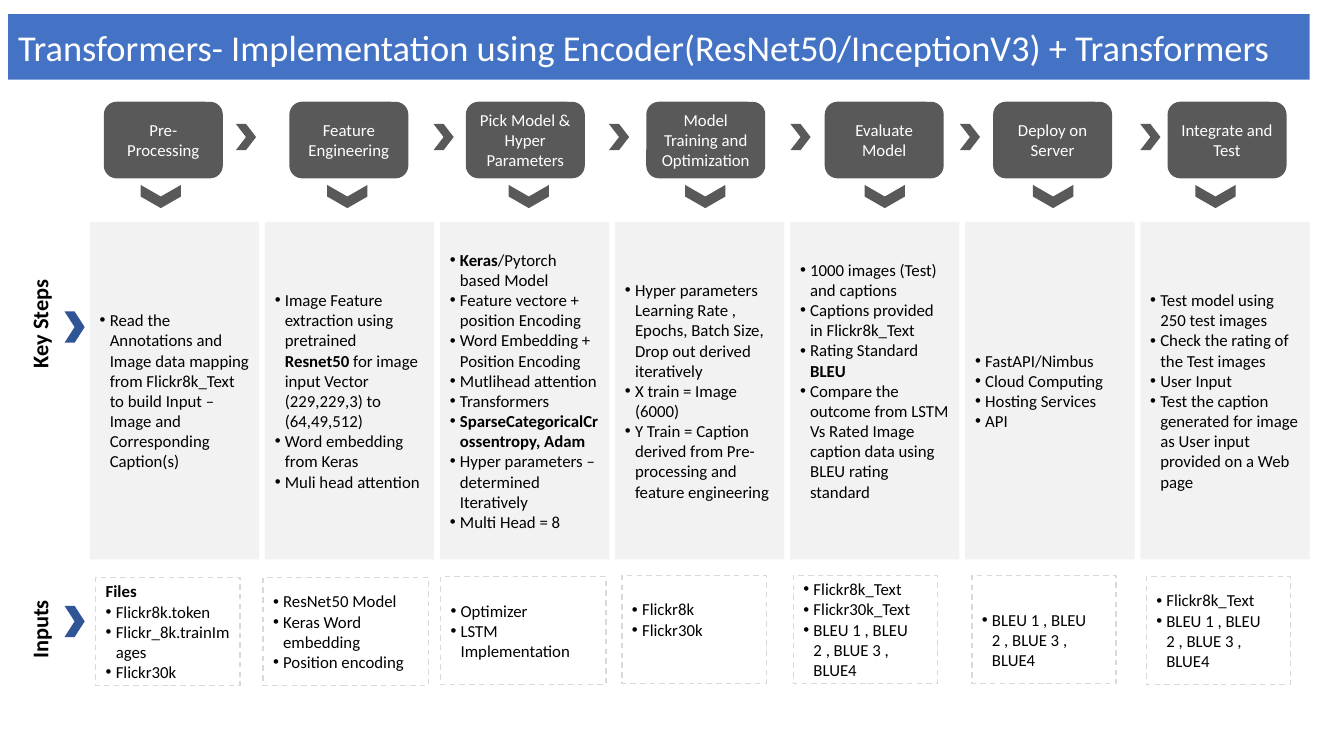
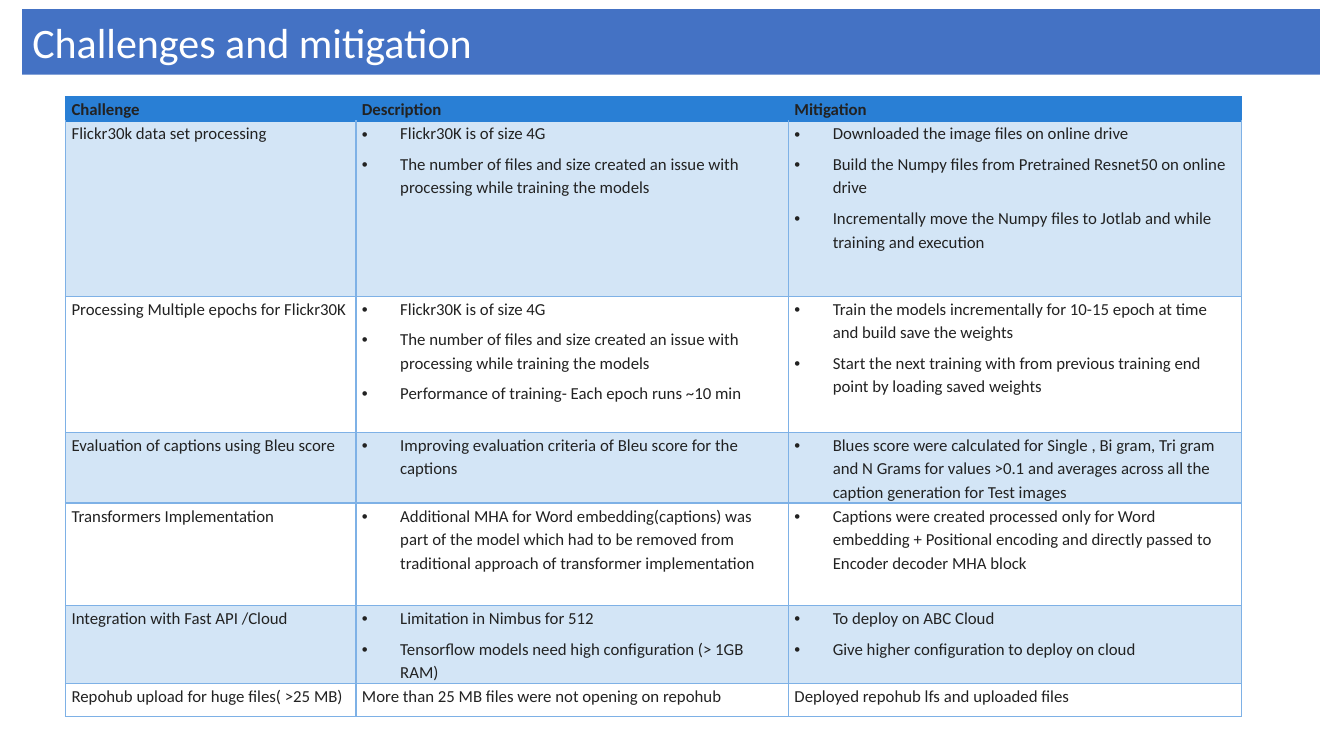
import pptx
import pptx.util
from pptx.dml.color import RGBColor
from pptx.enum.dml import MSO_LINE
from pptx.enum.shapes import MSO_SHAPE
from pptx.enum.text import MSO_ANCHOR, MSO_AUTO_SIZE, PP_ALIGN
from pptx.oxml.ns import qn
from lxml import etree

Inches, Pt = pptx.util.Inches, pptx.util.Pt

FONT = "Calibri"
BLUE = RGBColor(0x44, 0x72, 0xC4)
NAVY = RGBColor(0x2F, 0x55, 0x97)
GRAY = RGBColor(0x59, 0x59, 0x59)
PANEL = RGBColor(0xF2, 0xF2, 0xF2)
DASH = RGBColor(0xD9, 0xD9, 0xD9)
WHITE = RGBColor(0xFF, 0xFF, 0xFF)
BLACK = RGBColor(0x00, 0x00, 0x00)
INK = RGBColor(0x22, 0x22, 0x22)
HEAD = RGBColor(0x29, 0x7F, 0xD5)
BAND = RGBColor(0xD3, 0xE5, 0xF6)
GRID = RGBColor(0x7E, 0xB1, 0xE6)

# Text between ** marks is bold; a leading "• " makes a bullet.
# name, key steps, inputs
STEPS = [
    ("Pre- Processing",
     ["• Read the Annotations and Image data mapping from Flickr8k_Text to build "
      "Input – Image and Corresponding Caption(s)"],
     ["**Files**", "• Flickr8k.token", "• Flickr_8k.trainImages", "• Flickr30k"]),
    ("Feature Engineering",
     ["• Image Feature extraction using pretrained **Resnet50** for image input "
      "Vector (229,229,3) to (64,49,512)",
      "• Word embedding from Keras", "• Muli head attention"],
     ["• ResNet50 Model", "• Keras Word embedding", "• Position encoding"]),
    ("Pick Model & Hyper Parameters",
     ["• **Keras**/Pytorch based Model", "• Feature vectore + position Encoding",
      "• Word Embedding + Position Encoding", "• Mutlihead attention",
      "• Transformers", "• **SparseCategoricalCrossentropy, Adam**",
      "• Hyper parameters – determined Iteratively", "• Multi Head = 8"],
     ["• Optimizer", "• LSTM Implementation"]),
    ("Model Training and Optimization",
     ["• Hyper parameters Learning Rate , Epochs, Batch Size, Drop out derived "
      "iteratively", "• X train = Image (6000)",
      "• Y Train = Caption derived from Pre-processing and feature engineering"],
     ["• Flickr8k", "• Flickr30k"]),
    ("Evaluate Model",
     ["• 1000 images (Test) and captions", "• Captions provided in Flickr8k_Text",
      "• Rating Standard **BLEU**",
      "• Compare the outcome from LSTM Vs Rated Image caption data using BLEU "
      "rating standard"],
     ["• Flickr8k_Text", "• Flickr30k_Text", "• BLEU 1 , BLEU 2 , BLUE 3 , BLUE4"]),
    ("Deploy on Server",
     ["• FastAPI/Nimbus", "• Cloud Computing", "• Hosting Services", "• API"],
     ["• BLEU 1 , BLEU 2 , BLUE 3 , BLUE4"]),
    ("Integrate and Test",
     ["• Test model using 250 test images", "• Check the rating of the Test images",
      "• User Input",
      "• Test the caption generated for image as User input provided on a Web page"],
     ["• Flickr8k_Text", "• BLEU 1 , BLEU 2 , BLUE 3 , BLUE4"]),
]
NAME_X = [1.03, 2.87, 4.62, 6.41, 8.18, 9.85, 11.58]
DOWN_X = [1.48, 3.33, 5.13, 6.88, 8.66, 10.33, 11.94]
NEXT_X = [2.34, 4.3, 6.04, 7.84, 9.52, 11.31]
INPUT_BOX = [(0.95, 5.73, 1.43), (2.61, 5.73, 1.64), (4.37, 5.72, 1.64),
             (6.17, 5.71, 1.43), (7.87, 5.71, 1.43), (9.64, 5.71, 1.43),
             (11.37, 5.72, 1.43)]
LINE = 0.2   # one line of 12 pt text
PANEL_LIFT = {4: LINE}
INPUT_LIFT = {3: LINE, 5: -LINE}
ROW_LABELS = [("Key Steps", 2.52, 3.09), ("Inputs", 5.55, 6.01)]

COLUMNS = [2.88, 4.29, 4.49]
# row height, cells
ROWS = [
    (0.24, [["**Challenge**"], ["**Description**"], ["**Mitigation**"]]),
    (1.74, [["Flickr30k data set processing"],
            ["• Flickr30K is of size 4G",
             "• The number of files and size created an issue with processing while "
             "training the models"],
            ["• Downloaded the image files on online drive",
             "• Build the Numpy files from Pretrained Resnet50 on online drive",
             "• Incrementally move the Numpy files to Jotlab and while training and "
             "execution"]]),
    (1.35, [["Processing Multiple epochs for Flickr30K"],
            ["• Flickr30K is of size 4G",
             "• The number of files and size created an issue with processing while "
             "training the models",
             "• Performance of training- Each epoch runs ~10 min"],
            ["• Train the models incrementally for 10-15 epoch at time and build save "
             "the weights",
             "• Start the next training with from previous training end point by "
             "loading saved weights"]]),
    (0.7, [["Evaluation of captions using Bleu score"],
           ["• Improving evaluation criteria of Bleu score for the captions"],
           ["• Blues score were calculated for Single , Bi gram, Tri gram and N Grams "
            "for values >0.1 and averages across all the caption generation for Test "
            "images"]]),
    (1.02, [["Transformers Implementation"],
            ["• Additional MHA for Word embedding(captions) was part of the model which "
             "had to be removed from traditional approach of transformer "
             "implementation"],
            ["• Captions were created processed only for Word embedding + Positional "
             "encoding and directly passed to Encoder decoder MHA block"]]),
    (0.77, [["Integration with Fast API /Cloud"],
            ["• Limitation in Nimbus for 512",
             "• Tensorflow models need high configuration (> 1GB RAM)"],
            ["• To deploy on ABC Cloud",
             "• Give higher configuration to deploy on cloud"]]),
    (0.33, [["Repohub upload for huge files( >25 MB)"],
            ["More than 25 MB files were not opening on repohub"],
            ["Deployed repohub lfs and uploaded files"]]),
]


def write(tf, lines, size=12, color=BLACK, align=None, indent=0.1, spacing=None, gap=0):
    tf.word_wrap = True
    for i, line in enumerate(lines):
        p = tf.paragraphs[0] if i == 0 else tf.add_paragraph()
        p.alignment = align or PP_ALIGN.LEFT
        if spacing:
            p.line_spacing = spacing
        if i and gap:
            p.space_before = Pt(gap)
        if line.startswith("• "):
            line = line[2:]
            pPr = p._p.get_or_add_pPr()
            pPr.set("marL", str(Inches(indent)))
            pPr.set("indent", str(-Inches(indent)))
            etree.SubElement(pPr, qn("a:buFont")).set("typeface", "Arial")
            etree.SubElement(pPr, qn("a:buChar")).set("char", "•")
        for n, part in enumerate(line.split("**")):
            if part:
                r = p.add_run()
                r.text = part
                r.font.name, r.font.size = FONT, Pt(size)
                r.font.bold = n % 2 == 1
                r.font.color.rgb = color


def add_box(s, kind, x, y, w, h, fill=None):
    sp = s.shapes.add_shape(kind, Inches(x), Inches(y), Inches(w), Inches(h))
    sp.shadow.inherit = False
    sp.line.fill.background()
    if fill is None:
        sp.fill.background()
    else:
        sp.fill.solid()
        sp.fill.fore_color.rgb = fill
    sp.text_frame.vertical_anchor = MSO_ANCHOR.MIDDLE
    return sp


def lift(tf, amount):
    """Raise centred text by half the amount; a negative amount lowers it."""
    if amount > 0:
        tf.margin_bottom = Inches(0.05 + amount)
    elif amount < 0:
        tf.margin_top = Inches(0.05 - amount)


def add_titled_slide(prs, title, size, x, y, w):
    s = prs.slides.add_slide(prs.slide_layouts[5])
    sp = s.shapes.title
    sp.left, sp.top, sp.width, sp.height = map(Inches, (x, y, w, 0.65))
    sp.fill.solid()
    sp.fill.fore_color.rgb = BLUE
    tf = sp.text_frame
    tf.auto_size = MSO_AUTO_SIZE.NONE
    tf.vertical_anchor = MSO_ANCHOR.MIDDLE
    write(tf, [title], size, WHITE)
    return s


def set_borders(cell, color, top):
    tcPr = cell._tc.get_or_add_tcPr()
    for side in "LRTB":
        ln = etree.SubElement(tcPr, qn("a:ln" + side), w=str(Pt(1)))
        fill = etree.SubElement(ln, qn("a:solidFill"))
        rgb = top if side == "T" else color
        etree.SubElement(fill, qn("a:srgbClr")).set("val", str(rgb))


def build_pipeline(prs):
    s = add_titled_slide(
        prs, "Transformers- Implementation using Encoder(ResNet50/InceptionV3) + "
        "Transformers", 26, 0.08, 0.14, 12.91)
    pitch = (11.31 - 0.89) / (len(STEPS) - 1)
    for i, (name, steps, inputs) in enumerate(STEPS):
        sp = add_box(s, MSO_SHAPE.ROUNDED_RECTANGLE, NAME_X[i], 1.01, 1.18, 0.76, GRAY)
        write(sp.text_frame, [name], color=WHITE, align=PP_ALIGN.CENTER)

        down = add_box(s, MSO_SHAPE.CHEVRON, DOWN_X[i], 1.75, 0.23, 0.4, GRAY)
        down.rotation = 90

        panel = add_box(s, MSO_SHAPE.RECTANGLE, 0.89 + i * pitch, 2.2, 1.68, 3.35, PANEL)
        write(panel.text_frame, steps)
        lift(panel.text_frame, PANEL_LIFT.get(i, 0))

        x, y, w = INPUT_BOX[i]
        box = add_box(s, MSO_SHAPE.RECTANGLE, x, y, w, 1.07)
        box.line.color.rgb = DASH
        box.line.width = Pt(1)
        box.line.dash_style = MSO_LINE.DASH
        write(box.text_frame, inputs)
        lift(box.text_frame, INPUT_LIFT.get(i, 0))

    for x in NEXT_X:
        add_box(s, MSO_SHAPE.CHEVRON, x, 1.23, 0.2, 0.26, GRAY)

    for label, y, arrow_y in ROW_LABELS:
        tb = s.shapes.add_textbox(Inches(0.29), Inches(y), Inches(0.2), Inches(1.39))
        tf = tb.text_frame
        tf.margin_left = tf.margin_right = tf.margin_top = tf.margin_bottom = 0
        tf.vertical_anchor = MSO_ANCHOR.MIDDLE
        tf._txBody.find(qn("a:bodyPr")).set("vert", "vert270")
        write(tf, [f"**{label}**"], 16, align=PP_ALIGN.CENTER)
        add_box(s, MSO_SHAPE.CHEVRON, 0.64, arrow_y, 0.2, 0.31, NAVY)


def build_challenges(prs):
    s = add_titled_slide(prs, "Challenges and mitigation", 30, 0.22, 0.09, 12.87)
    height = sum(h for h, _ in ROWS)
    table = s.shapes.add_table(len(ROWS), len(COLUMNS), Inches(0.65), Inches(0.96),
                               Inches(sum(COLUMNS)), Inches(height)).table
    table.first_row = table.horz_banding = False
    for column, w in zip(table.columns, COLUMNS):
        column.width = Inches(w)
    for i, (h, cells) in enumerate(ROWS):
        table.rows[i].height = Inches(h)
        for j, lines in enumerate(cells):
            cell = table.cell(i, j)
            cell.margin_left = cell.margin_right = Inches(0.06)
            cell.margin_top = cell.margin_bottom = 0
            set_borders(cell, GRID if i else HEAD, HEAD if i < 2 else GRID)
            if i and i % 2 == 0:
                cell.fill.background()
            else:
                cell.fill.solid()
                cell.fill.fore_color.rgb = BAND if i else HEAD
            write(cell.text_frame, lines, color=INK, indent=0.38, spacing=1.15, gap=5)


def main():
    prs = pptx.Presentation()
    prs.slide_width, prs.slide_height = Inches(13.33), Inches(7.5)
    build_pipeline(prs)
    build_challenges(prs)
    prs.save("out.pptx")


if __name__ == "__main__":
    main()
